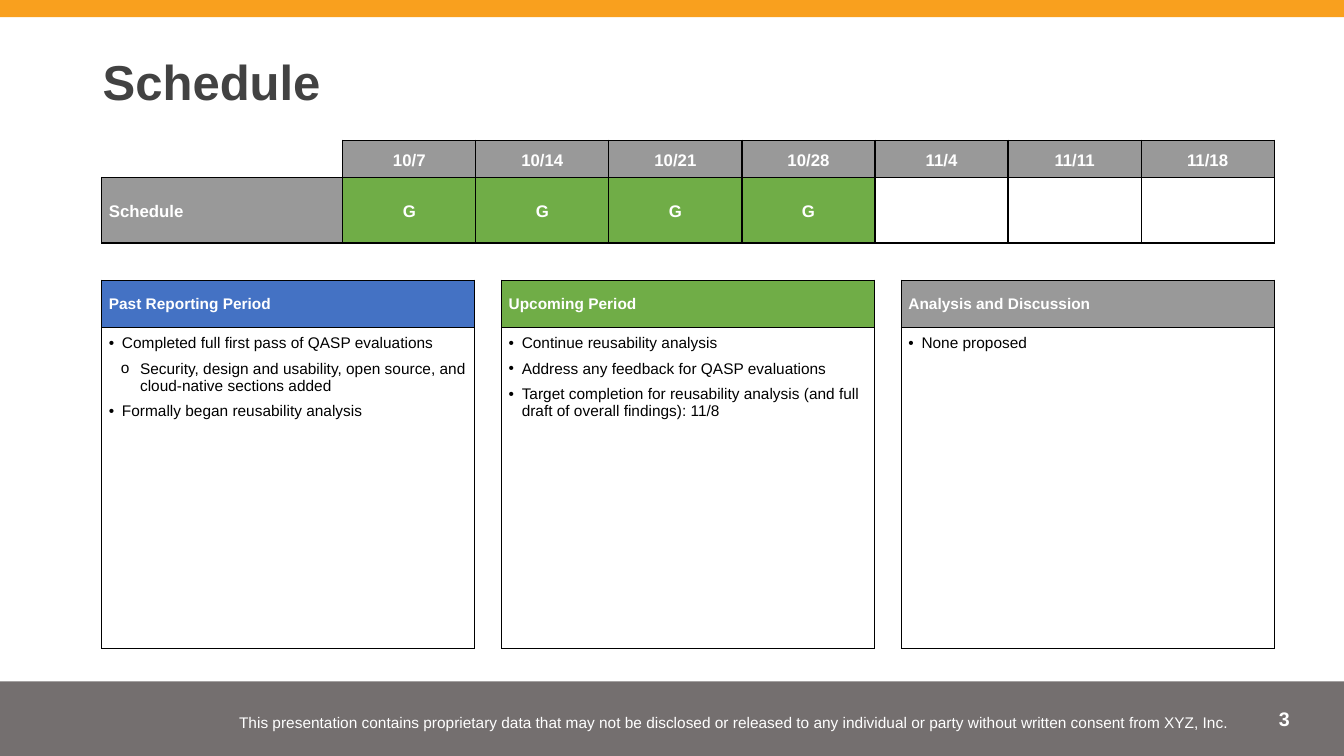
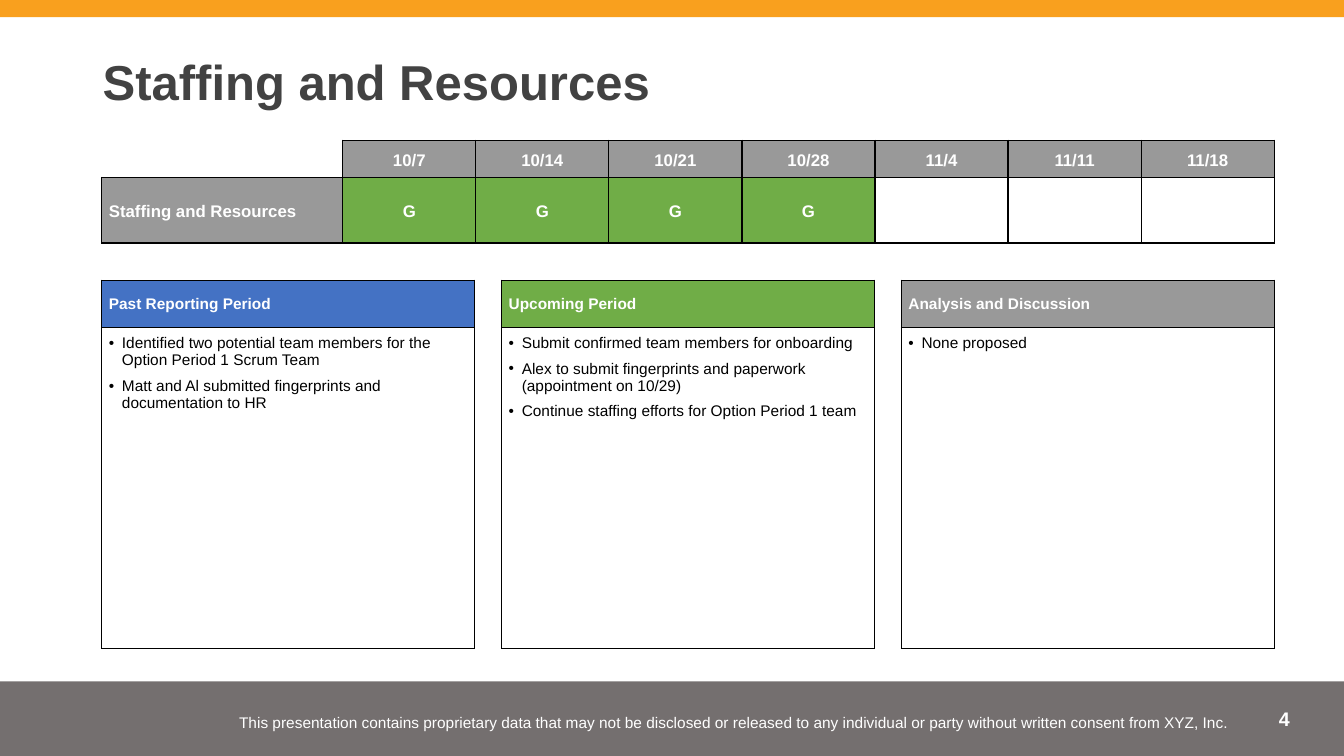
from lxml import etree
from pptx import Presentation
from pptx.dml.color import RGBColor
from pptx.enum import shapes, text
from pptx.oxml.ns import qn
from pptx.util import Inches, Pt

INK = {"dark": "424242", "band": "4F4949", "gold": "F9A01E", "gray": "999999",
       "green": "70AD47", "blue": "4472C4", "white": "FFFFFF", "black": "000000"}
FONT = "Arial"
NOTE = ("This presentation contains proprietary data that may not be disclosed or "
        "released to any individual or party without written consent from XYZ, Inc.")
DATES = ["10/7", "10/14", "10/21", "10/28", "11/4", "11/11", "11/18"]
DONE = 4
LEFT, WIDTH, GAP = 1.01, 3.7, 0.265
BULLETS = [("•", 0.13, 0.13), ("o", 0.31, 0.19)]
HEADS = [("Past Reporting Period", "blue"), ("Upcoming Period", "green"),
         ("Analysis and Discussion", "gray")]
PAGES = [
    (3, "Schedule", [
        [("Completed full first pass of QASP evaluations", 0),
         ("Security, design and usability, open source, and cloud-native sections added", 1),
         ("Formally began reusability analysis", 0)],
        [("Continue reusability analysis", 0),
         ("Address any feedback for QASP evaluations", 0),
         ("Target completion for reusability analysis (and full draft of overall findings): 11/8", 0)],
        [("None proposed", 0)]]),
    (4, "Staffing and Resources", [
        [("Identified two potential team members for the Option Period 1 Scrum Team", 0),
         ("Matt and Al submitted fingerprints and documentation to HR", 0)],
        [("Submit confirmed team members for onboarding", 0),
         ("Alex to submit fingerprints and paperwork (appointment on 10/29)", 0),
         ("Continue staffing efforts for Option Period 1 team", 0)],
        [("None proposed", 0)]]),
]


def write(host, lines, size=11, color="white", bold=False, align="LEFT",
          anchor="MIDDLE", pad=(0.07, 0.07), line=None, after=None):
    host.margin_left = host.margin_right = Inches(pad[0])
    host.margin_top = host.margin_bottom = Inches(pad[1])
    host.vertical_anchor = getattr(text.MSO_ANCHOR, anchor)
    frame = getattr(host, "text_frame", host)
    frame.word_wrap = True
    if isinstance(lines, str):
        lines = [(lines, None)]
    for i, (words, level) in enumerate(lines):
        para = frame.add_paragraph() if i else frame.paragraphs[0]
        para.alignment = getattr(text.PP_ALIGN, align)
        if line:
            para.line_spacing = line
        if after:
            para.space_after = Pt(after)
        if level is not None:
            mark, indent, hang = BULLETS[level]
            props = para._p.get_or_add_pPr()
            props.set("marL", str(Inches(indent)))
            props.set("indent", str(-Inches(hang)))
            tint = etree.SubElement(props, qn("a:buClr"))
            etree.SubElement(tint, qn("a:srgbClr"), val=INK["black"])
            etree.SubElement(props, qn("a:buFont"), typeface=FONT)
            etree.SubElement(props, qn("a:buChar"), char=mark)
        if not words:
            etree.SubElement(para._p, qn("a:endParaRPr"), sz=str(size * 100))
            continue
        run = para.add_run()
        run.text = words
        run.font.name, run.font.size, run.font.bold = FONT, Pt(size), bold
        run.font.color.rgb = RGBColor.from_string(INK[color])


def grid(slide, left, top, cols, rows, fills, edges):
    table = slide.shapes.add_table(len(rows), len(cols), Inches(left), Inches(top),
                                   Inches(sum(cols)), Inches(sum(rows))).table
    table.first_row = table.horz_banding = False
    for col, size in zip(table.columns, cols):
        col.width = Inches(size)
    for row, size in zip(table.rows, rows):
        row.height = Inches(size)
    for r in range(len(rows)):
        for c in range(len(cols)):
            cell = table.cell(r, c)
            props = cell._tc.get_or_add_tcPr()
            for side in "LRTB":
                edge = etree.SubElement(props, qn("a:ln" + side), w=str(Pt(1)))
                if side in edges.get((r, c), "LRTB"):
                    fill = etree.SubElement(edge, qn("a:solidFill"))
                    etree.SubElement(fill, qn("a:srgbClr"), val=INK["black"])
                else:
                    etree.SubElement(edge, qn("a:noFill"))
            if fills[r][c]:
                cell.fill.solid()
                cell.fill.fore_color.rgb = RGBColor.from_string(INK[fills[r][c]])
            else:
                cell.fill.background()
    return table


deck = Presentation()
deck.slide_width, deck.slide_height = Inches(13.33), Inches(7.5)

for number, title, notes in PAGES:
    slide = deck.slides.add_slide(deck.slide_layouts[6])

    for top, height, color, alpha in [(6.76, 0.74, "band", 79), (0, 0.17, "gold", 100)]:
        band = slide.shapes.add_shape(shapes.MSO_SHAPE.RECTANGLE, 0, Inches(top),
                                      deck.slide_width, Inches(height))
        band.shadow.inherit = False
        band.line.fill.background()
        band.fill.solid()
        band.fill.fore_color.rgb = RGBColor.from_string(INK[color])
        if alpha < 100:
            tint = band._element.spPr.find(".//" + qn("a:srgbClr"))
            etree.SubElement(tint, qn("a:alpha"), val=str(alpha * 1000))

    for words, place, style in [
        (str(number), (11.81, 6.96, 1.08, 0.4),
         dict(size=14, bold=True, align="RIGHT", anchor="TOP", pad=(0.1, 0.05))),
        (NOTE, (2.27, 6.89, 10.03, 0.53), dict(align="CENTER", pad=(0.1, 0.1), line=1.15)),
        (title, (0.92, 0.46, 11.5, 0.77),
         dict(size=35, color="dark", bold=True, pad=(0.1, 0.1), line=0.9)),
    ]:
        box = slide.shapes.add_textbox(*map(Inches, place))
        write(box.text_frame, words, **style)

    rest = len(DATES) - DONE
    table = grid(slide, LEFT, 1.39, [2.39] + [1.32] * len(DATES), [0.36, 0.65],
                 [[None] + ["gray"] * len(DATES),
                  ["gray"] + ["green"] * DONE + [None] * rest], {(0, 0): "RB"})
    status = [[""] + DATES, [title] + ["G"] * DONE + [""] * rest]
    for r, row in enumerate(status):
        for c, words in enumerate(row):
            write(table.cell(r, c), words, size=12, bold=True, line=1.15,
                  align="CENTER" if c else "LEFT")

    for i, ((head, color), items) in enumerate(zip(HEADS, notes)):
        table = grid(slide, LEFT + i * (WIDTH + GAP), 2.78, [WIDTH], [0.47, 3.18],
                     [[color], [None]], {})
        write(table.cell(0, 0), head, bold=True)
        write(table.cell(1, 0), items, color="black", anchor="TOP", after=6)

deck.save("out.pptx")
